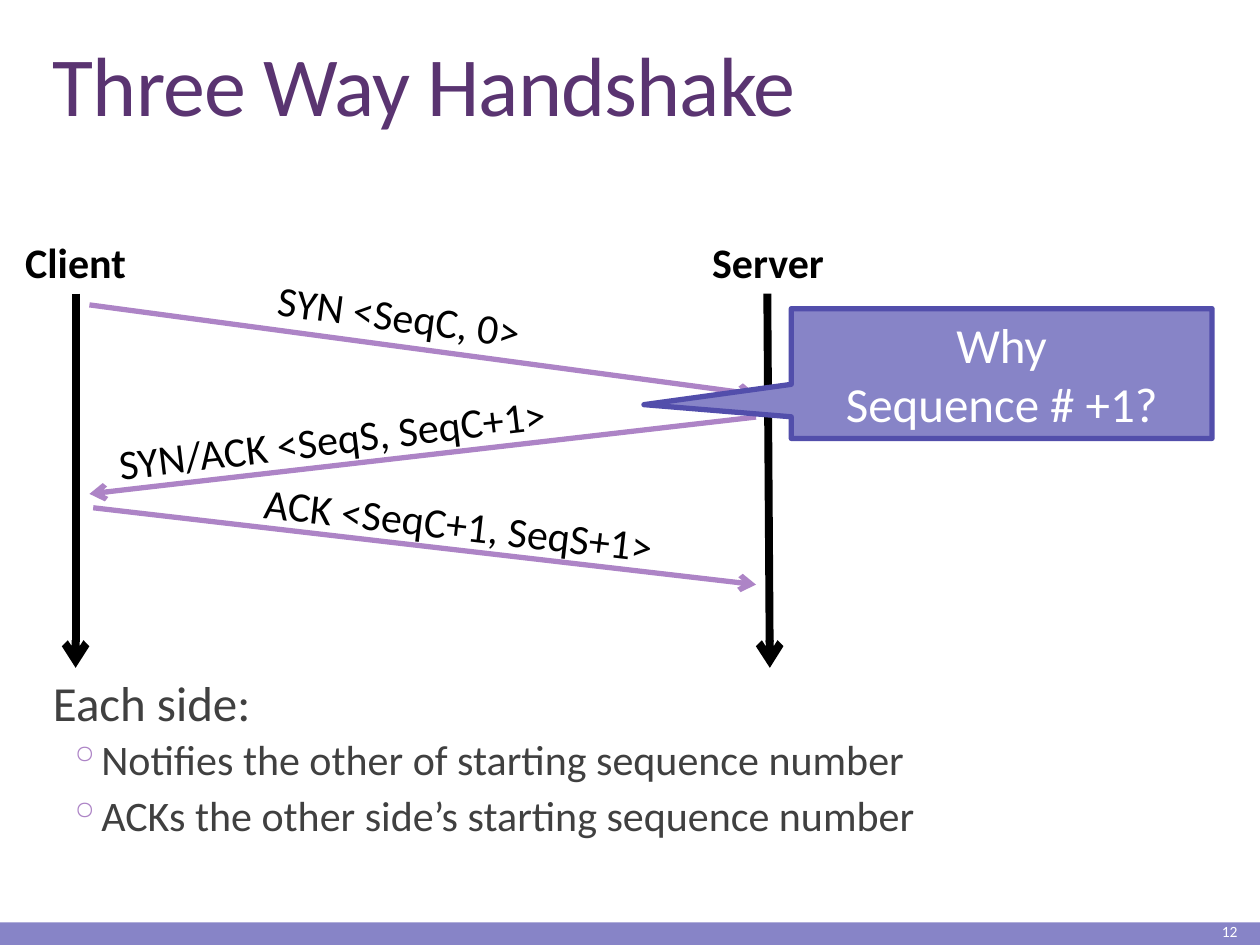
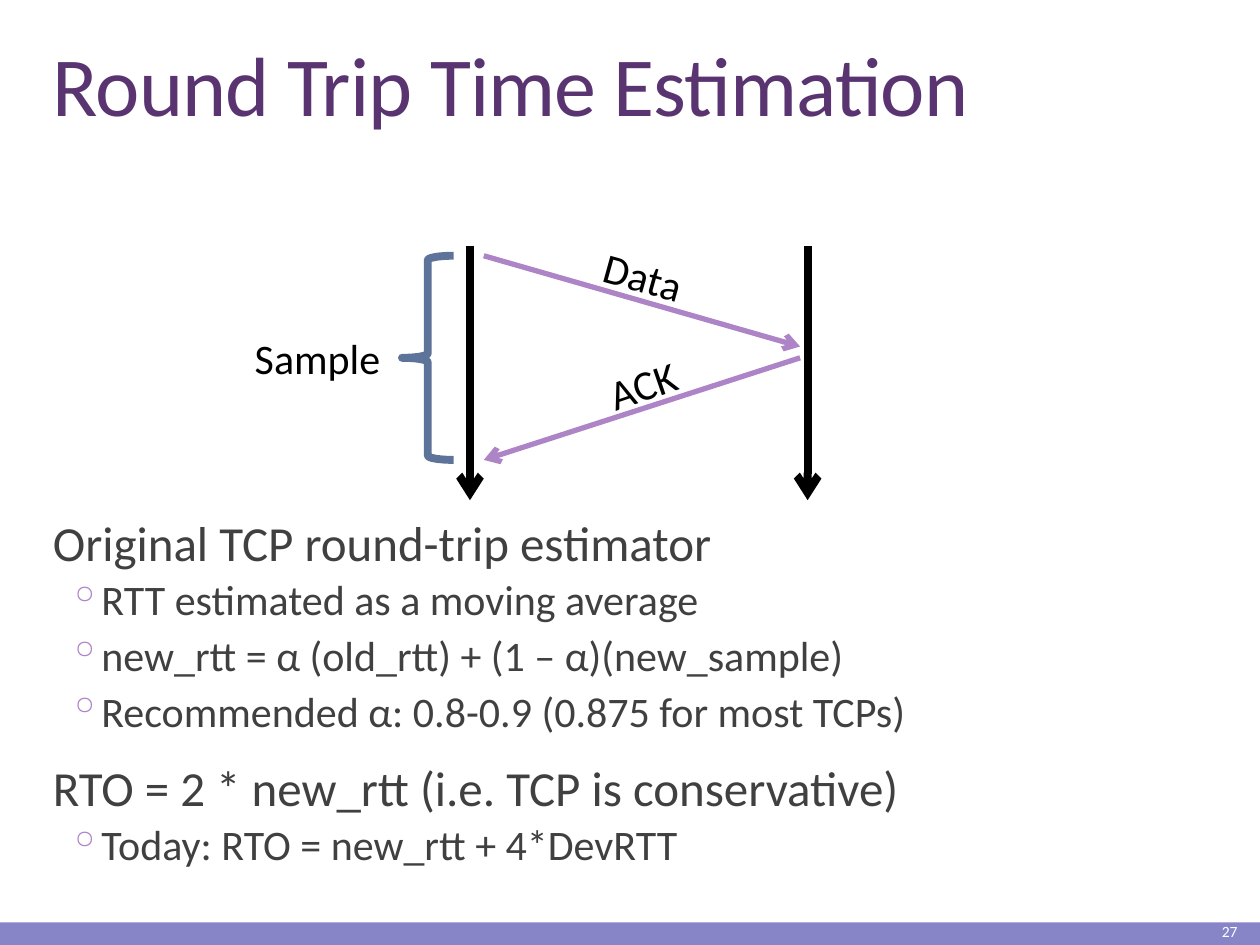
"""Build two slides on TCP: the three way handshake and round trip time estimation."""
from typing import NamedTuple

from lxml import etree
from pptx import Presentation, util as u
from pptx.dml.color import RGBColor
from pptx.enum import shapes, text
from pptx.oxml import ns

COLOURS = {
    "title": "5A3471", "body": "404040", "black": "000000", "white": "FFFFFF",
    "band": "8784C7", "callout_line": "524EAB", "message": "AD84C6", "brace": "5D739A",
}
LEFT, CENTER, RIGHT = text.PP_ALIGN.LEFT, text.PP_ALIGN.CENTER, text.PP_ALIGN.RIGHT
LABEL_HEIGHT = 0.5
TIMELINE_WIDTH, MESSAGE_WIDTH = 4.5, 3
LEVELS = [
    {"size": 28, "margin": 0.1, "hanging": 0, "bullet": None, "before": 12, "after": 2},
    {"size": 24, "margin": 0.42, "hanging": 0.2, "bullet": "◦", "before": 2, "after": 4},
]


class Box(NamedTuple):
    left: float
    top: float
    width: float
    height: float


class Arrow(NamedTuple):
    start: tuple[float, float]
    end: tuple[float, float]
    colour: str = "message"
    width: float = MESSAGE_WIDTH


class Label(NamedTuple):
    words: str
    left: float
    top: float
    width: float
    rotation: float = 0
    align: text.PP_ALIGN = CENTER
    bold: bool = False


class Point(NamedTuple):
    words: str
    level: int = 1


def rgb(name: str) -> RGBColor:
    return RGBColor.from_string(COLOURS[name])


def inches(values) -> list[u.Length]:
    return [u.Inches(value) for value in values]


def apply(target, formats: dict) -> None:
    for name, value in formats.items():
        setattr(target, name, value)


def set_font(font, size: float, colour: str, bold: bool = False) -> None:
    apply(font, {"name": "Calibri", "size": u.Pt(size), "bold": bold})
    font.color.rgb = rgb(colour)


def write(shape, lines: list[str], size: float, colour: str, align=CENTER,
          anchor=text.MSO_ANCHOR.TOP, bold: bool = False) -> None:
    frame = shape.text_frame
    apply(frame, {"word_wrap": True, "auto_size": text.MSO_AUTO_SIZE.NONE,
                  "vertical_anchor": anchor, "text": "\n".join(lines)})
    for paragraph in frame.paragraphs:
        paragraph.alignment = align
        set_font(paragraph.font, size, colour, bold)


def add_preset(slide, preset, box: Box, fill: str | None, line: str | None, width: float = 0):
    shape = slide.shapes.add_shape(preset, *inches(box))
    shape.shadow.inherit = False
    if fill:
        shape.fill.solid()
        shape.fill.fore_color.rgb = rgb(fill)
    else:
        shape.fill.background()
    if line:
        shape.line.color.rgb = rgb(line)
        shape.line.width = u.Pt(width)
    else:
        shape.line.fill.background()
    return shape


def add_arrow(slide, arrow: Arrow) -> None:
    connector = slide.shapes.add_connector(
        shapes.MSO_CONNECTOR.STRAIGHT, *inches(arrow.start + arrow.end))
    connector.line.color.rgb = rgb(arrow.colour)
    connector.line.width = u.Pt(arrow.width)
    outline = connector.line._get_or_add_ln()
    etree.SubElement(outline, ns.qn("a:tailEnd"), type="arrow")
    etree.SubElement(connector._element.spPr, ns.qn("a:effectLst"))


def add_timeline(slide, x: float, top: float, bottom: float, drift: float = 0) -> None:
    add_arrow(slide, Arrow((x, top), (x + drift, bottom), "black", TIMELINE_WIDTH))


def add_label(slide, label: Label) -> None:
    box = Box(label.left, label.top, label.width, LABEL_HEIGHT)
    shape = slide.shapes.add_textbox(*inches(box))
    shape.rotation = label.rotation
    write(shape, [label.words], 24, "black", label.align, bold=label.bold)


def add_bullet(paragraph, level: dict) -> None:
    properties = paragraph._p.get_or_add_pPr()
    properties.set("marL", str(u.Inches(level["margin"])))
    properties.set("indent", str(-u.Inches(level["hanging"])))
    if level["bullet"]:
        colour = etree.SubElement(properties, ns.qn("a:buClr"))
        etree.SubElement(colour, ns.qn("a:srgbClr"), val=COLOURS["message"])
        etree.SubElement(properties, ns.qn("a:buChar"), char=level["bullet"])
    else:
        etree.SubElement(properties, ns.qn("a:buNone"))


def add_body(slide, top: float, height: float, points: list[Point]) -> None:
    frame = slide.shapes.add_textbox(*inches((0.32, top, 9.48, height))).text_frame
    apply(frame, {"word_wrap": True, "margin_left": 0, "margin_right": 0})
    for index, point in enumerate(points):
        level = LEVELS[point.level]
        paragraph = frame.add_paragraph() if index else frame.paragraphs[0]
        paragraph.text = point.words
        add_bullet(paragraph, level)
        apply(paragraph, {"level": point.level, "line_spacing": 0.9,
                          "space_before": u.Pt(level["before"] if index else 0),
                          "space_after": u.Pt(level["after"])})
        set_font(paragraph.font, level["size"], "body")


def add_slide(presentation, title: str, number: int):
    slide = presentation.slides.add_slide(presentation.slide_layouts[5])
    add_preset(slide, shapes.MSO_SHAPE.RECTANGLE, Box(0, 7.32, 10, 0.18), "band", None)
    heading = slide.shapes.title
    position = zip(Box._fields, inches((0.32, 0.31, 9.48, 0.8)))
    apply(heading, dict(position))
    write(heading, [title], 48, "title", LEFT, text.MSO_ANCHOR.BOTTOM)
    paragraph = heading.text_frame.paragraphs[0]
    paragraph.line_spacing = 0.85
    paragraph.runs[0].font._element.set("spc", "-50")
    page = slide.shapes.add_textbox(*inches((8.84, 7.28, 1.08, 0.22)))
    write(page, [str(number)], 8.9, "white", RIGHT, text.MSO_ANCHOR.MIDDLE)
    return slide


def build_handshake(presentation) -> None:
    slide = add_slide(presentation, "Three Way Handshake", 12)
    add_body(slide, 5.34, 1.42, [
        Point("Each side:", 0),
        Point("Notifies the other of starting sequence number"),
        Point("ACKs the other side’s starting sequence number"),
    ])
    add_timeline(slide, 0.6, 2.33, 5.3)
    add_timeline(slide, 6.09, 2.33, 5.3, drift=0.02)
    for arrow in (Arrow((0.71, 2.42), (6, 3.13)),
                  Arrow((6, 3.31), (0.71, 3.92)),
                  Arrow((0.74, 4.03), (6, 4.64))):
        add_arrow(slide, arrow)
    for label in (Label("Client", 0.03, 1.83, 1.14, bold=True),
                  Label("Server", 5.47, 1.83, 1.25, bold=True),
                  Label("SYN <SeqC, 0>", 2.1, 2.29, 2.69, 7.6, LEFT),
                  Label("SYN/ACK <SeqS, SeqC+1>", 0.83, 3.18, 4.4, 353.1, LEFT),
                  Label("ACK <SeqC+1, SeqS+1>", 1.99, 3.95, 4, 6.6, LEFT)):
        add_label(slide, label)
    callout = add_preset(slide, shapes.MSO_SHAPE.RECTANGULAR_CALLOUT,
                         Box(6.28, 2.45, 3.34, 1.03), "band", "callout_line", 3)
    callout.adjustments[0], callout.adjustments[1] = -0.85, 0.24
    write(callout, ["Why", "Sequence # +1?"], 28, "white", anchor=text.MSO_ANCHOR.MIDDLE)


def build_round_trip(presentation) -> None:
    slide = add_slide(presentation, "Round Trip Time Estimation", 27)
    add_body(slide, 4.07, 3.09, [
        Point("Original TCP round-trip estimator", 0),
        Point("RTT estimated as a moving average"),
        Point("new_rtt = α (old_rtt) + (1 – α)(new_sample)"),
        Point("Recommended α: 0.8-0.9 (0.875 for most TCPs)"),
        Point("RTO = 2 * new_rtt (i.e. TCP is conservative)", 0),
        Point("Today: RTO = new_rtt + 4*DevRTT"),
    ])
    for x in (3.73, 6.41):
        add_timeline(slide, x, 1.95, 3.97)
    add_arrow(slide, Arrow((3.84, 2.03), (6.35, 2.75)))
    add_arrow(slide, Arrow((6.35, 2.84), (3.84, 3.65)))
    add_preset(slide, shapes.MSO_SHAPE.LEFT_BRACE, Box(3.19, 2.03, 0.41, 1.62),
               None, "brace", 4.5)
    for label in (Label("Data", 4.01, 1.94, 2.19, 15.6),
                  Label("ACK", 4.52, 2.8, 1.16, 341),
                  Label("Sample", 1.78, 2.59, 1.48)):
        add_label(slide, label)


def main() -> None:
    presentation = Presentation()
    apply(presentation, {"slide_width": u.Inches(10), "slide_height": u.Inches(7.5)})
    build_handshake(presentation)
    build_round_trip(presentation)
    presentation.save("out.pptx")


if __name__ == "__main__":
    main()
